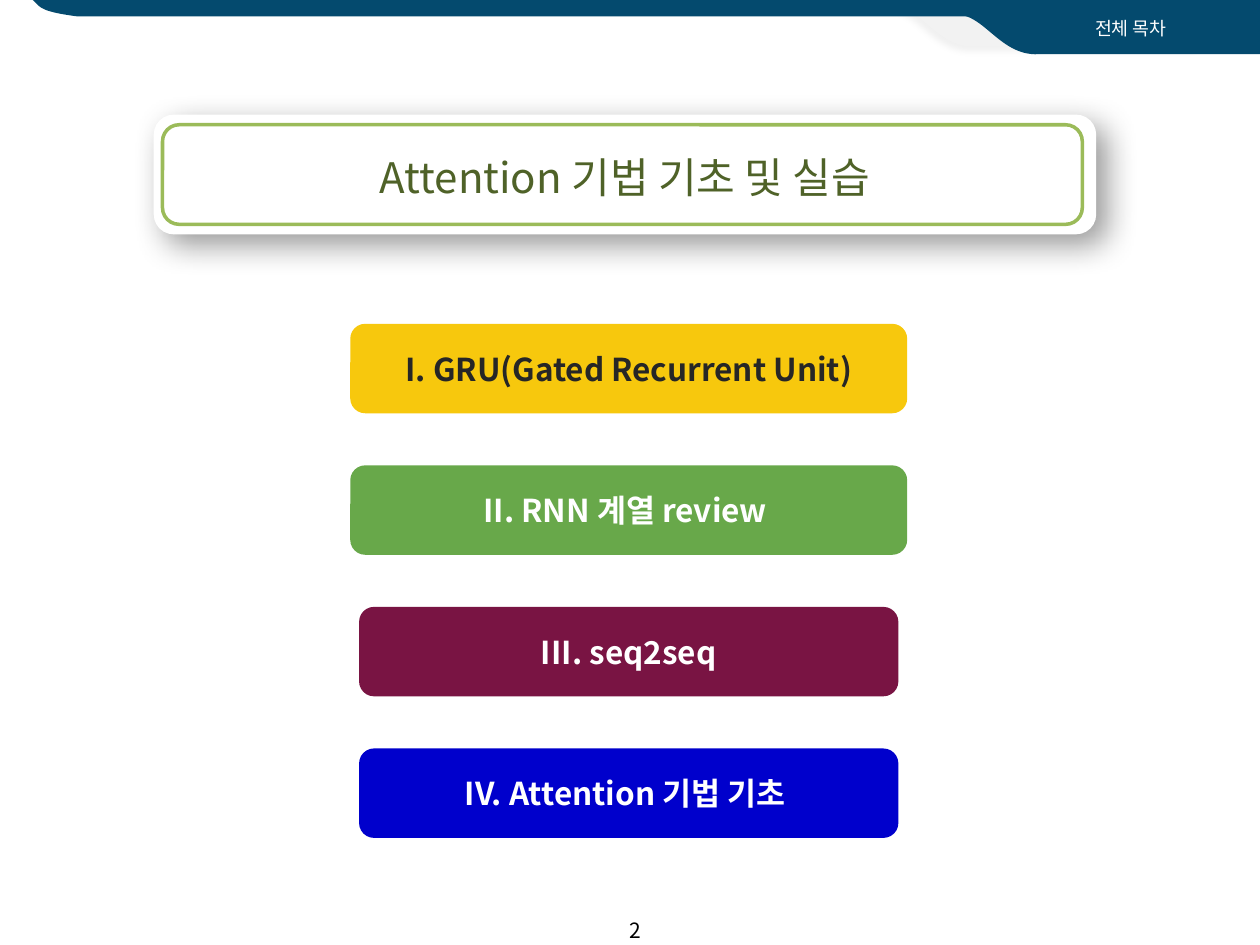
from lxml.etree import SubElement
from pptx import Presentation
from pptx.dml.color import RGBColor
from pptx.enum.shapes import MSO_SHAPE
from pptx.enum.text import MSO_ANCHOR, PP_ALIGN
from pptx.oxml.ns import qn
from pptx.util import Inches, Pt

FONT = "Noto Sans CJK KR"
WHITE = RGBColor(0xFF, 0xFF, 0xFF)
BLACK = RGBColor(0, 0, 0)
CHARCOAL = RGBColor(0x26, 0x26, 0x26)
PALE_GRAY = RGBColor(0xF2, 0xF2, 0xF2)
NAVY = RGBColor(0x04, 0x4A, 0x6E)
OLIVE = RGBColor(0x4F, 0x62, 0x28)
LIME = RGBColor(0x9B, 0xBB, 0x59)
YELLOW = RGBColor(0xF7, 0xC8, 0x0D)
GREEN = RGBColor(0x68, 0xA8, 0x4A)
MAROON = RGBColor(0x79, 0x14, 0x43)
BLUE = RGBColor(0, 0, 0xCC)

SECTION = "전체 목차"
TITLE = "Attention 기법 기초 및 실습"
PAGE_NUMBER = "2"
CHAPTERS = [
    ("I. GRU(Gated Recurrent Unit)", YELLOW, CHARCOAL, 4.42),
    ("II. RNN 계열 review ", GREEN, WHITE, 4.42),
    ("III. seq2seq", MAROON, WHITE, 4.28),
    ("IV. Attention 기법 기초 ", BLUE, WHITE, 4.28),
]
CHAPTER_CENTER, FIRST_TOP, LAST_TOP, CHAPTER_HEIGHT = 4.99, 2.57, 5.94, 0.71

TAB_CORNERS = [(7.63, 0.12), (10, 0.12), (10, 0.43), (8.25, 0.43)]
TAB_CURVE = [(8.25, 0.43), (7.96, 0.45), (7.83, 0.15), (7.63, 0.12)]
BAND_CORNERS = [(0.26, 0), (10, 0), (10, 0.13), (0.61, 0.13)]
BAND_CURVE = [(0.61, 0.13), (0.3, 0.09), (0.32, 0.05), (0.26, 0)]
CURVE_STEPS = 24


def curve_point(controls, t):
    weights = ((1 - t) ** 3, 3 * t * (1 - t) ** 2, 3 * t * t * (1 - t), t ** 3)
    return tuple(sum(w * point[axis] for w, point in zip(weights, controls)) for axis in (0, 1))


def paint(shape, fill=None, line=None):
    shape.shadow.inherit = False
    if fill is None:
        shape.fill.background()
    else:
        shape.fill.solid()
        shape.fill.fore_color.rgb = fill
    if line is None:
        shape.line.fill.background()
    else:
        shape.line.color.rgb = line
        shape.line.width = Pt(2)


def add_shadow(shape, opacity, blur, distance, angle):
    effects = shape._element.spPr.find(qn("a:effectLst"))
    shadow = SubElement(effects, qn("a:outerShdw"), blurRad=str(Pt(blur)), dist=str(Pt(distance)),
                        dir=str(angle * 60000), algn="ctr", rotWithShape="0")
    color = SubElement(shadow, qn("a:srgbClr"), val=str(BLACK))
    SubElement(color, qn("a:alpha"), val=str(opacity * 1000))


def add_ribbon(page, corners, curve, fill, shift=(0, 0)):
    points = corners + [curve_point(curve, step / CURVE_STEPS) for step in range(1, CURVE_STEPS)]
    points = [(Inches(x + shift[0]), Inches(y + shift[1])) for x, y in points]
    builder = page.shapes.build_freeform(*points[0])
    builder.add_line_segments(points[1:], close=True)
    ribbon = builder.convert_to_shape()
    paint(ribbon, fill)
    return ribbon


def add_panel(page, area, fill=None, line=None):
    panel = page.shapes.add_shape(MSO_SHAPE.ROUNDED_RECTANGLE, *map(Inches, area))
    paint(panel, fill, line)
    return panel


def write(shape, text, size, color, bold=False, anchor=MSO_ANCHOR.MIDDLE):
    frame = shape.text_frame
    frame.word_wrap = True
    frame.vertical_anchor = anchor
    para = frame.paragraphs[0]
    para.text = text
    para.alignment = PP_ALIGN.CENTER
    font = para.font
    font.size, font.bold, font.name = Pt(size), bold, FONT
    font.color.rgb = color
    SubElement(para._p.pPr.find(qn("a:defRPr")), qn("a:ea"), typeface=FONT)


def add_label(page, area, text, size, color, anchor=MSO_ANCHOR.TOP):
    write(page.shapes.add_textbox(*map(Inches, area)), text, size, color, anchor=anchor)


def main():
    deck = Presentation()
    deck.slide_width, deck.slide_height = Inches(10), Inches(7.5)
    page = deck.slides.add_slide(deck.slide_layouts[6])

    tab_shade = add_ribbon(page, TAB_CORNERS, TAB_CURVE, PALE_GRAY, (-0.5, -0.06))
    add_shadow(tab_shade, 5, 4, 3, 135)
    add_ribbon(page, TAB_CORNERS, TAB_CURVE, NAVY)
    add_ribbon(page, BAND_CORNERS, BAND_CURVE, NAVY)
    add_label(page, (8.07, 0.09, 1.81, 0.28), SECTION, 10.5, WHITE)

    card = add_panel(page, (1.22, 0.91, 7.48, 0.95), WHITE)
    add_shadow(card, 40, 18, 8, 45)
    add_label(page, (1.31, 1.15, 7.3, 0.5), TITLE, 24, OLIVE)
    add_panel(page, (1.29, 0.99, 7.3, 0.79), line=LIME)

    pitch = (LAST_TOP - FIRST_TOP) / (len(CHAPTERS) - 1)
    for row, (text, fill, color, width) in enumerate(CHAPTERS):
        area = (CHAPTER_CENTER - width / 2, FIRST_TOP + row * pitch, width, CHAPTER_HEIGHT)
        write(add_panel(page, area, fill), text, 18, color, bold=True)

    add_label(page, (4.69, 7.18, 0.71, 0.4), PAGE_NUMBER, 12, BLACK, MSO_ANCHOR.MIDDLE)
    deck.save("out.pptx")


if __name__ == "__main__":
    main()
